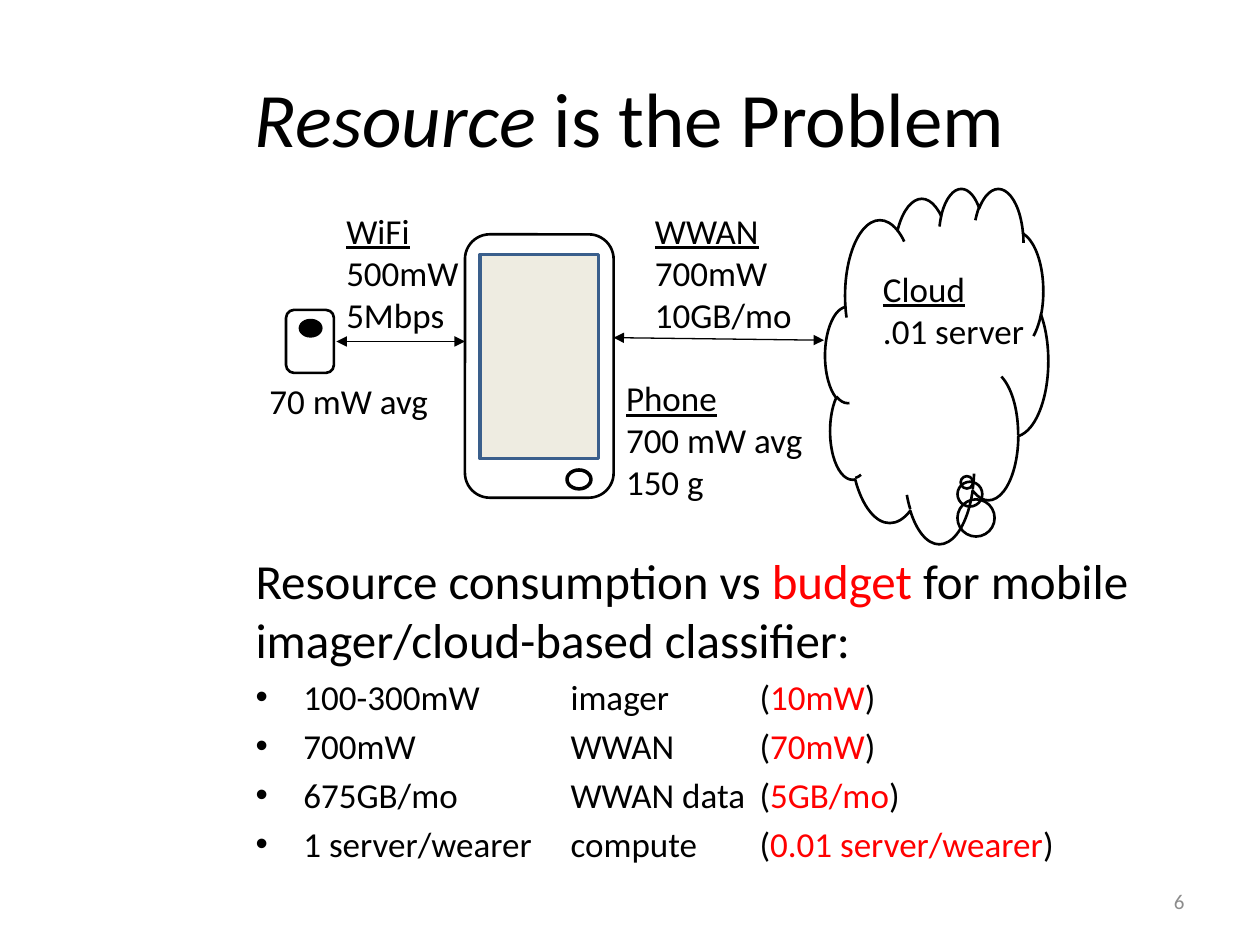
"""Build the slide on the resource budget of a mobile imager and cloud classifier."""
from lxml import etree
from pptx import Presentation
from pptx import util as u
from pptx.dml.color import RGBColor
from pptx.enum import shapes, text
from pptx.oxml import ns

BLACK, RED = "000000", "FF0000"
Shape, Align = shapes.MSO_SHAPE, text.PP_ALIGN


def color(value):
    return RGBColor.from_string(value)


def write(para, content, size=20, fill=BLACK, italic=False, underline=False):
    span = para.add_run()
    span.text = content
    span.font.name = "Calibri"
    span.font.size = u.Pt(size)
    span.font.color.rgb = color(fill)
    span.font.italic = italic
    span.font.underline = underline


deck = Presentation()
deck.slide_width, deck.slide_height = u.Inches(10), u.Inches(7.5)
page = deck.slides.add_slide(deck.slide_layouts[5])

title = page.shapes.title
title.left, title.top = u.Inches(0.5), u.Inches(0.3)
title.width, title.height = u.Inches(9), u.Inches(1.25)
title.text_frame.vertical_anchor = text.MSO_ANCHOR.MIDDLE
heading = title.text_frame.paragraphs[0]
heading.alignment = Align.CENTER
write(heading, "Resource", size=44, italic=True)
write(heading, " is the Problem", size=44)

number = page.shapes.add_textbox(u.Inches(7.17), u.Inches(6.95), u.Inches(2.33), u.Inches(0.4))
number.text_frame.word_wrap = True
number.text_frame.vertical_anchor = text.MSO_ANCHOR.MIDDLE
number.text_frame.paragraphs[0].alignment = Align.RIGHT
write(number.text_frame.paragraphs[0], "6", size=12, fill="8C8C8C")

device_parts = [
    (Shape.ROUNDED_RECTANGLE, (2.27, 2.46, 0.38, 0.5), None, BLACK, 1.5),
    (Shape.OVAL, (2.37, 2.53, 0.19, 0.15), BLACK, None, 0),
    (Shape.ROUNDED_RECTANGLE, (3.69, 1.86, 1.18, 2.09), None, BLACK, 1.5),
    (Shape.RECTANGLE, (3.81, 2.02, 0.94, 1.62), "EEECE1", "3A5F8C", 2),
    (Shape.OVAL, (4.5, 3.73, 0.19, 0.15), None, BLACK, 2),
    (Shape.CLOUD_CALLOUT, (6.55, 1.49, 1.77, 2.82), None, BLACK, 1.5),
]
for kind, place, fill, line, weight in device_parts:
    part = page.shapes.add_shape(kind, *map(u.Inches, place))
    part.shadow.inherit = False
    if fill:
        part.fill.solid()
        part.fill.fore_color.rgb = color(fill)
    else:
        part.fill.background()
    if line:
        part.line.color.rgb = color(line)
        part.line.width = u.Pt(weight)
    else:
        part.line.fill.background()
    if kind == Shape.CLOUD_CALLOUT:
        part.adjustments[0], part.adjustments[1] = 0.135, 0.329

for ends in [(2.67, 2.71, 3.69, 2.71), (4.87, 2.68, 6.54, 2.7)]:
    link = page.shapes.add_connector(shapes.MSO_CONNECTOR.STRAIGHT, *map(u.Inches, ends))
    link.line.color.rgb = color(BLACK)
    link.line.width = u.Pt(0.75)
    for end in ("a:headEnd", "a:tailEnd"):
        etree.SubElement(link.line._get_or_add_ln(), ns.qn(end), type="triangle")
    etree.SubElement(link._element.spPr, ns.qn("a:effectLst"))

labels = [
    ((2.04, 2.96, 1.48, 0.77), None, ["70 mW avg"]),
    ((4.87, 2.94, 1.62, 1.11), "Phone", ["700 mW avg", "150 g"]),
    ((6.91, 2.07, 1.34, 0.77), "Cloud", [".01 server"]),
    ((5.1, 1.61, 1.3, 1.11), "WWAN", ["700mW", "10GB/mo"]),
    ((2.65, 1.61, 1.1, 1.11), "WiFi", ["500mW", "5Mbps"]),
]
for place, name, figures in labels:
    box = page.shapes.add_textbox(*map(u.Inches, place))
    box.text_frame.word_wrap = False
    lines = ([name] if name else []) + figures
    for index, content in enumerate(lines):
        para = box.text_frame.paragraphs[0] if index == 0 else box.text_frame.add_paragraph()
        write(para, content, underline=content == name)

body = page.shapes.add_textbox(u.Inches(1.93), u.Inches(4.32), u.Inches(8.03), u.Inches(2.63))
body.text_frame.word_wrap = True
intro = body.text_frame.paragraphs[0]
write(intro, "Resource consumption vs ", size=28)
write(intro, "budget", size=28, fill=RED)
write(intro, " for mobile imager/cloud-based classifier:", size=28)

demands = [
    ("100-300mW", "imager", "10mW"),
    ("700mW", "WWAN", "70mW"),
    ("675GB/mo", "WWAN data", "5GB/mo"),
    ("1 server/wearer", "compute", "0.01 server/wearer"),
]
indent = u.Inches(0.38)
for need, user, budget in demands:
    para = body.text_frame.add_paragraph()
    para.space_before = u.Pt(4)
    props = para._p.get_or_add_pPr()
    props.set("marL", str(indent))
    props.set("indent", str(-indent))
    etree.SubElement(props, ns.qn("a:buFont"), typeface="Arial")
    etree.SubElement(props, ns.qn("a:buChar"), char="•")
    stops = etree.SubElement(props, ns.qn("a:tabLst"))
    for stop in (2.5, 4):
        etree.SubElement(stops, ns.qn("a:tab"), pos=str(u.Inches(stop)), algn="l")
    write(para, f"{need}\t{user}\t(")
    write(para, budget, fill=RED)
    write(para, ")")

deck.save("out.pptx")
